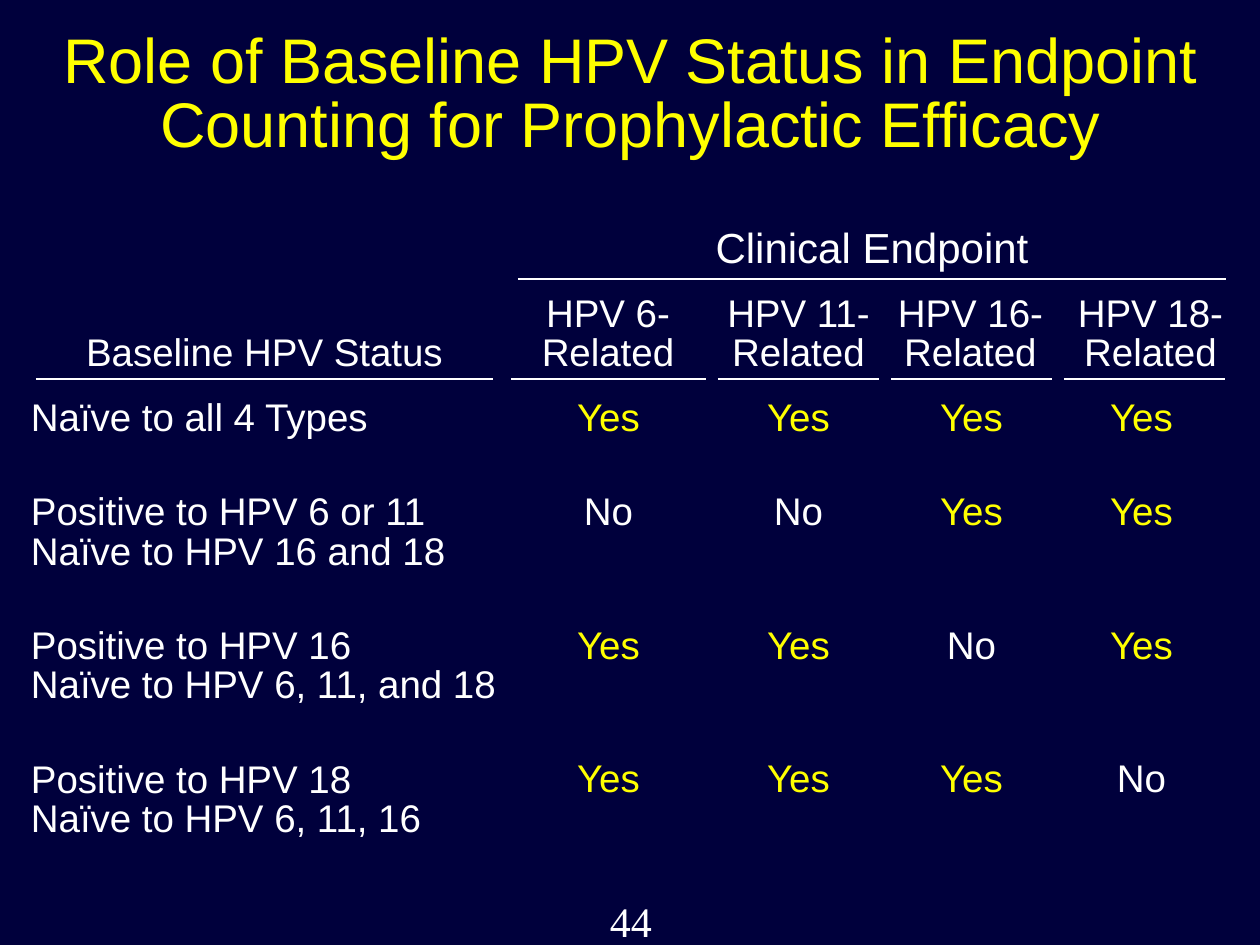
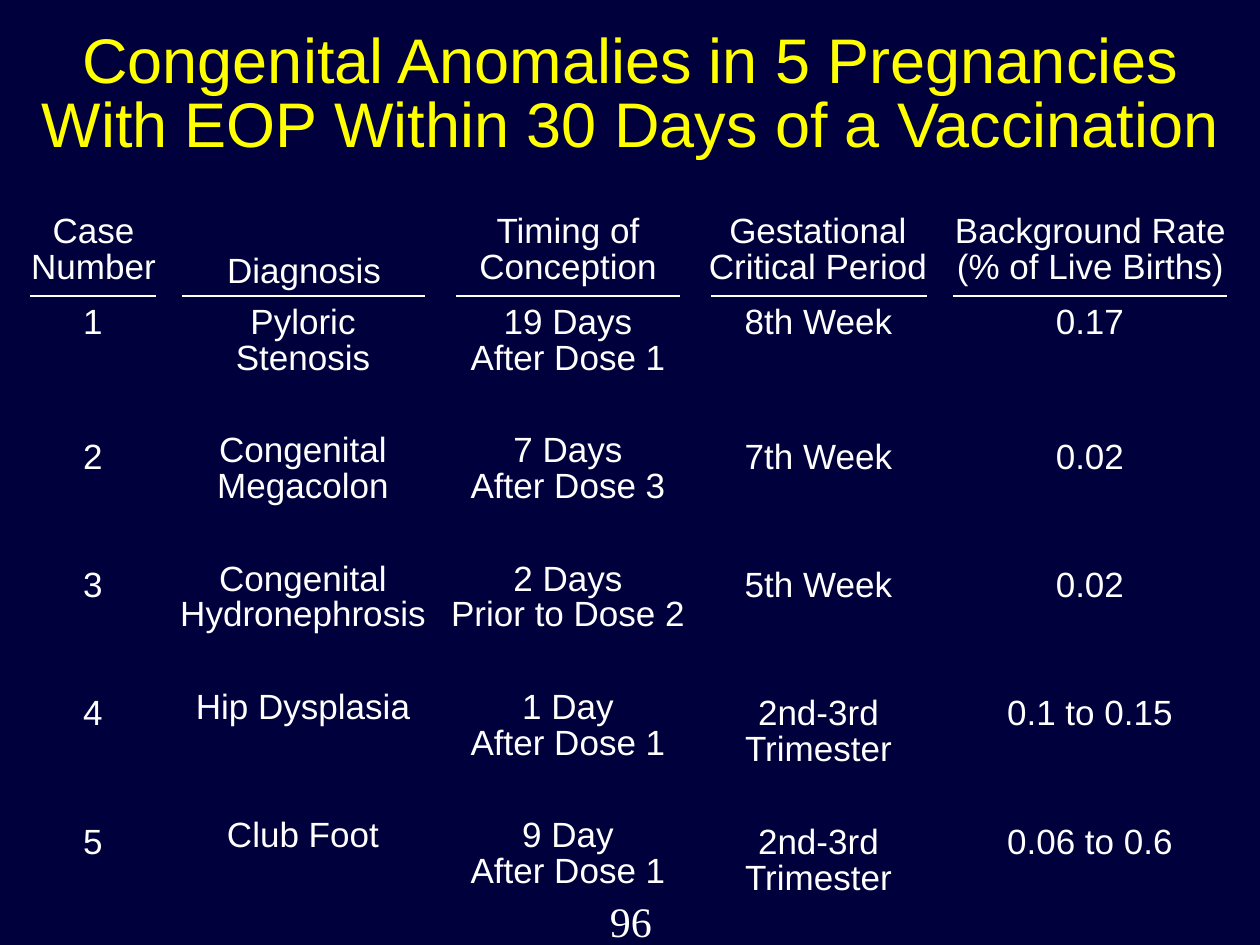
from dataclasses import dataclass

from lxml import etree
from pptx import Presentation
from pptx import util as u
from pptx.dml.color import RGBColor
from pptx.enum import shapes, text
from pptx.oxml import ns

PX = 914400 / 126
NAVY = RGBColor(0x00, 0x00, 0x3C)
YELLOW = RGBColor(0xFF, 0xFF, 0x00)
WHITE = RGBColor(0xFF, 0xFF, 0xFF)
LEFT, CENTER = text.PP_ALIGN.LEFT, text.PP_ALIGN.CENTER
TIGHT = 0.85
HEADING_SLACK = 3


@dataclass
class Grid:
    """Type size, vertical places in px and row spacing in points of one grid."""
    size: int
    rule_y: int
    body_y: int
    body_height: int
    gap: float
    line_pitch: float
    row_lines: tuple
    first_row_drift: float = 0


@dataclass
class Column:
    """One grid column: heading box, rule ends, body box and entries."""
    heading: str
    heading_box: tuple
    rule: tuple
    body: tuple
    entries: list
    align: object = CENTER


STATUS_GRID = Grid(22, 379, 400, 440, 31.6, 22.3, (1, 2, 2, 2))
STATUS_COLUMNS = [
    Column("Baseline HPV Status", (86, 335, 357, 39), (36, 493), (31, 468),
           ["Naïve to all 4 Types",
            "Positive to HPV 6 or 11\nNaïve to HPV 16 and 18",
            "Positive to HPV 16\nNaïve to HPV 6, 11, and 18",
            "Positive to HPV 18\nNaïve to HPV 6, 11, 16"], LEFT),
    Column("HPV 6-\nRelated", (542, 296, 132, 78), (511, 706), (575, 67),
           ["Yes", "No", "Yes", "Yes"]),
    Column("HPV 11-\nRelated", (726, 296, 145, 78), (718, 879), (765, 67),
           ["Yes", "No", "Yes", "Yes"]),
    Column("HPV 16-\nRelated", (898, 296, 145, 78), (891, 1052), (938, 67),
           ["Yes", "Yes", "No", "Yes"]),
    Column("HPV 18-\nRelated", (1078, 296, 145, 78), (1064, 1225), (1108, 67),
           ["Yes", "Yes", "Yes", "No"]),
]

ANOMALY_GRID = Grid(20, 296, 306, 585, 32.5, 20.3, (2,) * 5, 4)
ANOMALY_COLUMNS = [
    Column("Case\nNumber", (31, 215, 125, 72), (30, 156), (83, 20),
           ["1", "2", "3", "4", "5"]),
    Column("Diagnosis", (227, 255, 154, 35), (182, 425), (180, 246),
           ["Pyloric\nStenosis", "Congenital\nMegacolon",
            "Congenital\nHydronephrosis", "Hip Dysplasia", "Club Foot"]),
    Column("Timing of\nConception", (479, 215, 178, 72), (456, 680), (451, 234),
           ["19 Days\nAfter Dose 1", "7 Days\nAfter Dose 3",
            "2 Days\nPrior to Dose 2", "1 Day\nAfter Dose 1",
            "9 Day\nAfter Dose 1"]),
    Column("Gestational\nCritical Period", (709, 215, 218, 72), (711, 927),
           (740, 157),
           ["8th Week", "7th Week", "5th Week",
            "2nd-3rd\nTrimester", "2nd-3rd\nTrimester"]),
    Column("Background Rate\n(% of Live Births)", (955, 215, 271, 72),
           (953, 1227), (1007, 166),
           ["0.17", "0.02", "0.02", "0.1 to 0.15", "0.06 to 0.6"]),
]


def px(length):
    """Turn px into EMU."""
    return u.Emu(round(length * PX))


def add_text_frame(slide, box, wrap=False, margins=(0, 0)):
    """Add a text box and return its frame; an unwrapped one fits its text."""
    frame = slide.shapes.add_textbox(*map(px, box)).text_frame
    frame.word_wrap = wrap
    if not wrap:
        frame.auto_size = text.MSO_AUTO_SIZE.SHAPE_TO_FIT_TEXT
    frame.margin_left = frame.margin_right = px(margins[0])
    frame.margin_top = frame.margin_bottom = px(margins[1])
    frame.vertical_anchor = text.MSO_ANCHOR.TOP
    return frame


def write_paragraph(paragraph, wording, size, color=WHITE, font="Arial",
                    align=CENTER, spacing=TIGHT):
    """Write one paragraph, with a line break between its lines."""
    paragraph.alignment = align
    paragraph.line_spacing = spacing
    for number, line in enumerate(wording.split("\n")):
        if number:
            paragraph.add_line_break()
        run = paragraph.add_run()
        run.text = line
        run.font.size = u.Pt(size)
        run.font.name = font
        run.font.color.rgb = color


def add_heading(slide, box, wording, size):
    """Add an unwrapped white heading with a little room on both sides."""
    left, top, width, height = box
    roomy = (left - HEADING_SLACK, top, width + 2 * HEADING_SLACK, height)
    write_paragraph(add_text_frame(slide, roomy).paragraphs[0], wording, size)


def add_rule(slide, left, right, y):
    """Draw a thin white horizontal rule."""
    rule = slide.shapes.add_connector(
        shapes.MSO_CONNECTOR.STRAIGHT, px(left), px(y), px(right), px(y))
    rule.line.color.rgb = WHITE
    rule.line.width = u.Pt(1.25)
    etree.SubElement(rule._element.spPr, ns.qn("a:effectLst"))


def add_entries(slide, grid, column):
    """Stack the entries of a column so that they keep to the grid rows."""
    left, width = column.body
    frame = add_text_frame(slide, (left, grid.body_y, width, grid.body_height))
    for row, entry in enumerate(column.entries):
        paragraph = frame.add_paragraph() if row else frame.paragraphs[0]
        if row:
            used = column.entries[row - 1].count("\n") + 1
            missing = grid.row_lines[row - 1] - used
            drift = grid.first_row_drift if row == 1 and missing else 0
            space = grid.gap + missing * grid.line_pitch + drift
            paragraph.space_before = u.Pt(space)
        color = YELLOW if entry == "Yes" else WHITE
        write_paragraph(paragraph, entry, grid.size, color, align=column.align)


def add_grid(slide, grid, columns):
    """Add every column with its heading and rule."""
    for column in columns:
        add_entries(slide, grid, column)
        add_rule(slide, *column.rule, grid.rule_y)
        add_heading(slide, column.heading_box, column.heading, grid.size)


def add_titled_slide(deck, title, page):
    """Add a navy slide with its title and page number."""
    slide = deck.slides.add_slide(deck.slide_layouts[6])
    slide.background.fill.solid()
    slide.background.fill.fore_color.rgb = NAVY
    page_frame = add_text_frame(slide, (556, 890, 150, 63), True, (13, 6))
    write_paragraph(page_frame.paragraphs[0], page, 24, font="Times New Roman",
                    spacing=1.0)
    title_frame = add_text_frame(slide, (32, 32, 1197, 98), True)
    write_paragraph(title_frame.paragraphs[0], title, 36, YELLOW)
    return slide


def main():
    """Build both slides and save the deck."""
    deck = Presentation()
    deck.slide_width, deck.slide_height = px(1260), px(945)

    status = add_titled_slide(
        deck, "Role of Baseline HPV Status in Endpoint Counting for "
        "Prophylactic Efficacy", "44")
    add_grid(status, STATUS_GRID, STATUS_COLUMNS)
    add_rule(status, 518, 1226, 279)
    add_heading(status, (716, 229, 312, 43), "Clinical Endpoint", 24)

    anomalies = add_titled_slide(
        deck, "Congenital Anomalies in 5 Pregnancies With EOP Within 30 Days "
        "of a Vaccination", "96")
    add_grid(anomalies, ANOMALY_GRID, ANOMALY_COLUMNS)

    deck.save("out.pptx")


if __name__ == "__main__":
    main()
